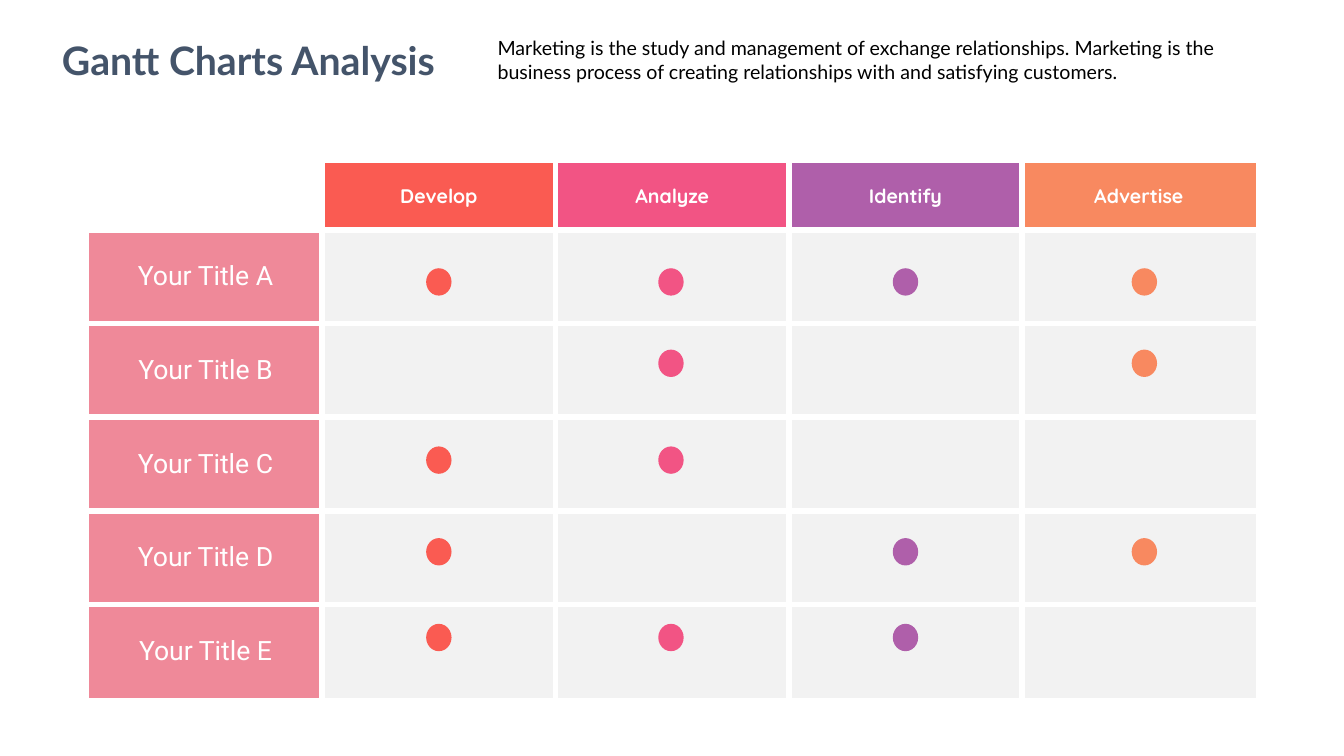
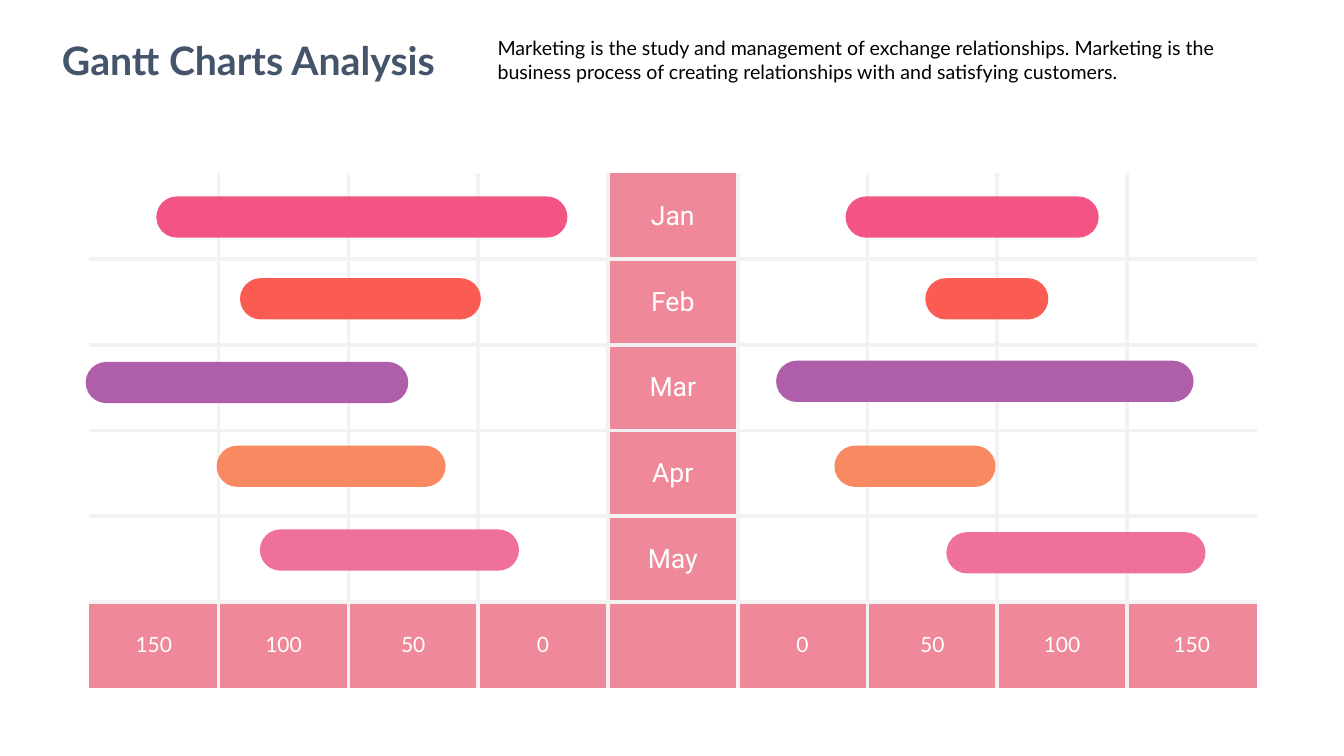
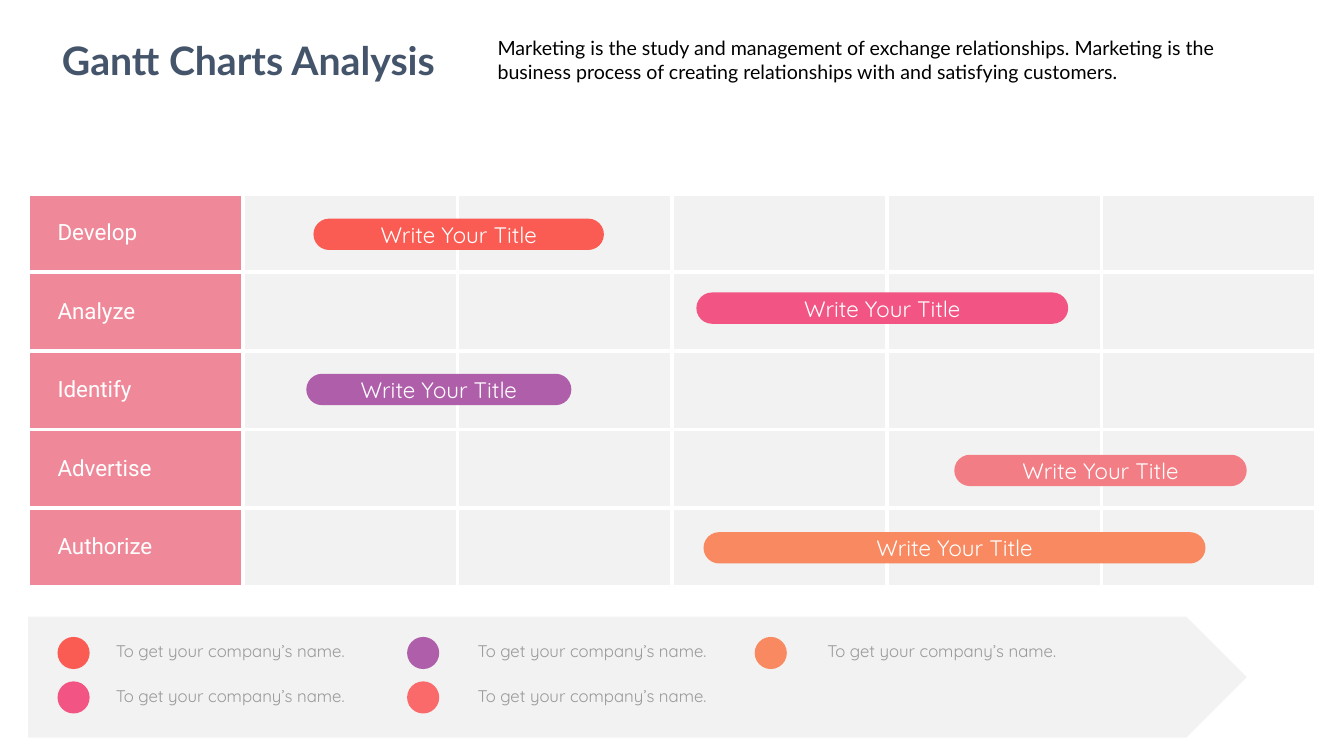
from lxml.etree import SubElement
from pptx import Presentation
from pptx.dml.color import RGBColor
from pptx.enum.shapes import MSO_SHAPE
from pptx.enum.text import MSO_ANCHOR, PP_ALIGN
from pptx.oxml.ns import qn
from pptx.util import Cm, Pt

WHITE = RGBColor(0xFF, 0xFF, 0xFF)
BLACK = RGBColor(0x00, 0x00, 0x00)
SLATE = RGBColor(0x44, 0x54, 0x6A)
GREY = RGBColor(0x99, 0x99, 0x99)
PALE = RGBColor(0xF2, 0xF2, 0xF2)
ROSE = RGBColor(0xEF, 0x89, 0x99)
RED = RGBColor(0xFA, 0x5B, 0x52)
PINK = RGBColor(0xF2, 0x54, 0x84)
PURPLE = RGBColor(0xAF, 0x5F, 0xAA)
ORANGE = RGBColor(0xF8, 0x89, 0x60)
ORCHID = RGBColor(0xEF, 0x70, 0x9D)
SALMON = RGBColor(0xF2, 0x7D, 0x84)
CORAL = RGBColor(0xFA, 0x6A, 0x6A)


def write(frame, text, font, size, color=WHITE, bold=False, align=PP_ALIGN.CENTER):
    frame.text = text
    para = frame.paragraphs[0]
    para.alignment = align
    span = para.runs[0]
    span.font.name = font
    span.font.size = Pt(size)
    span.font.bold = bold
    span.font.color.rgb = color


def add_grid(page, left, top, column_width, heights, fills, margins, edge, thickness, framed):
    rows, columns = len(fills), len(fills[0])
    table = page.shapes.add_table(
        rows, columns, Cm(left), Cm(top), Cm(column_width * columns), Cm(sum(heights))
    ).table
    for column in table.columns:
        column.width = Cm(column_width)
    for r, height in enumerate(heights):
        table.rows[r].height = Cm(height)
        for c in range(columns):
            cell = table.cell(r, c)
            cell.fill.solid()
            cell.fill.fore_color.rgb = fills[r][c]
            cell.vertical_anchor = MSO_ANCHOR.MIDDLE
            cell.margin_left, cell.margin_right = Cm(margins[0]), Cm(margins[1])
            cell.margin_top = cell.margin_bottom = Cm(margins[2])
            properties = cell._tc.get_or_add_tcPr()
            inner = {"lnL": c > 0, "lnR": c < columns - 1, "lnT": r > 0, "lnB": r < rows - 1}
            for position, (side, inside) in enumerate(inner.items()):
                line = SubElement(properties, qn("a:" + side), w=str(Pt(thickness)))
                if inside or framed:
                    paint = SubElement(line, qn("a:solidFill"))
                    SubElement(paint, qn("a:srgbClr"), val=str(edge))
                else:
                    SubElement(line, qn("a:noFill"))
                properties.insert(position, line)
    return table


deck = Presentation()
deck.slide_width = Cm(33.87)
deck.slide_height = Cm(19.05)
pages = [deck.slides.add_slide(deck.slide_layouts[6]) for _ in range(3)]
matrix_page, months_page, stages_page = pages
figures = []

for page in pages:
    title = page.shapes.add_textbox(Cm(0.99), Cm(0.79), Cm(10.54), Cm(1.45)).text_frame
    title.word_wrap = False
    write(title, "Gantt Charts Analysis", "Lato", 28, SLATE, True)
    summary = page.shapes.add_textbox(Cm(12.29), Cm(0.79), Cm(19.86), Cm(1.45)).text_frame
    summary.word_wrap = True
    write(
        summary,
        "Marketing is the study and management of exchange relationships. Marketing is the "
        "business process of creating relationships with and satisfying customers.",
        "Lato", 14, BLACK, align=PP_ALIGN.LEFT,
    )

phases = [
    ("Develop", RED, 10.74),
    ("Analyze", PINK, 16.59),
    ("Identify", PURPLE, 22.5),
    ("Advertise", ORANGE, 28.52),
]
tasks = [
    ("Your Title A", 6.76, (0, 1, 2, 3)),
    ("Your Title B", 8.81, (1, 3)),
    ("Your Title C", 11.25, (0, 1)),
    ("Your Title D", 13.56, (0, 2, 3)),
    ("Your Title E", 15.72, (0, 1, 2)),
]
fills = [[WHITE] + [color for _, color, _ in phases]] + [[ROSE] + [PALE] * 4 for _ in tasks]
matrix = add_grid(matrix_page, 2.24, 4.11, 5.88, [1.68] + [2.36] * 5, fills,
                  (0.13, 0.13, 0.07), WHITE, 4.5, False)
for c, (name, _, _) in enumerate(phases, 1):
    write(matrix.cell(0, c).text_frame, name, "Quicksand", 14, bold=True)
for r, (name, top, active) in enumerate(tasks, 1):
    write(matrix.cell(r, 0).text_frame, name, "Roboto", 19)
    for index in active:
        _, color, left = phases[index]
        figures.append((matrix_page, MSO_SHAPE.OVAL, left, top, 0.64, 0.69, color, ""))

months = [
    ("Jan", PINK, (3.94, 4.95, 10.36), (21.31, 4.95, 6.38)),
    ("Feb", RED, (6.05, 7.01, 6.07), (23.32, 7.01, 3.1)),
    ("Mar", PURPLE, (2.16, 9.12, 8.13), (19.56, 9.09, 10.52)),
    ("Apr", ORANGE, (5.46, 11.23, 5.77), (21.03, 11.23, 4.06)),
    ("May", ORCHID, (6.55, 13.34, 6.53), (23.85, 13.41, 6.53)),
]
fills = [[WHITE] * 4 + [ROSE] + [WHITE] * 4 for _ in months] + [[ROSE] * 9]
calendar = add_grid(months_page, 2.24, 4.37, 3.27, [2.16] * 6, fills,
                    (0.13, 0.13, 0.07), PALE, 3, False)
for r, (name, color, *bars) in enumerate(months):
    write(calendar.cell(r, 4).text_frame, name, "Roboto", 19)
    for left, top, width in bars:
        figures.append(
            (months_page, MSO_SHAPE.ROUNDED_RECTANGLE, left, top, width, 1.04, color, ""))
for step, value in enumerate(("0", "50", "100", "150"), 1):
    for c in (4 - step, 4 + step):
        write(calendar.cell(5, c).text_frame, value, "Lato", 15)

stages = [
    ("Develop", RED, 7.9, 5.51, 7.32),
    ("Analyze", PINK, 17.55, 7.37, 9.37),
    ("Identify", PURPLE, 7.72, 9.42, 6.68),
    ("Advertise", SALMON, 24.05, 11.46, 7.37),
    ("Authorize", ORANGE, 17.73, 13.41, 12.65),
]
fills = [[ROSE] + [PALE] * 5 for _ in stages]
schedule = add_grid(stages_page, 0.71, 4.88, 5.41, [1.98] * 5, fills,
                    (0.74, 0.15, 0.1), WHITE, 3, True)
figures.append((stages_page, MSO_SHAPE.PENTAGON, 0.71, 15.54, 30.71, 3.05, PALE, ""))
for r, (name, color, left, top, width) in enumerate(stages):
    write(schedule.cell(r, 0).text_frame, name, "Roboto", 16, align=PP_ALIGN.LEFT)
    figures.append((stages_page, MSO_SHAPE.ROUNDED_RECTANGLE, left, top, width, 0.79, color,
                    "Write Your Title"))
legend = [(1.45, 2.31, (RED, PINK)), (10.26, 11.43, (PURPLE, CORAL)), (19.02, 20.24, (ORANGE,))]
for dot_left, note_left, colors in legend:
    for row, color in enumerate(colors):
        top = 16.05 + row * 1.12
        figures.append((stages_page, MSO_SHAPE.OVAL, dot_left, top, 0.81, 0.81, color, ""))

for page, preset, left, top, width, height, color, label in figures:
    shape = page.shapes.add_shape(preset, Cm(left), Cm(top), Cm(width), Cm(height))
    shape.shadow.inherit = False
    shape.fill.solid()
    shape.fill.fore_color.rgb = color
    shape.line.fill.background()
    if preset == MSO_SHAPE.ROUNDED_RECTANGLE:
        shape.adjustments[0] = 0.5
    if label:
        shape.text_frame.vertical_anchor = MSO_ANCHOR.MIDDLE
        write(shape.text_frame, label, "Quicksand", 16)

for _, note_left, colors in legend:
    for row in range(len(colors)):
        box = stages_page.shapes.add_textbox(
            Cm(note_left), Cm(15.9 + row * 1.12), Cm(7.8), Cm(1.12))
        note = box.text_frame
        note.word_wrap = True
        note.margin_left = note.margin_right = Cm(0.61)
        note.margin_top = note.margin_bottom = Cm(0.3)
        write(note, "To get your company’s name.", "Quicksand", 12, GREY, align=PP_ALIGN.LEFT)

deck.save("out.pptx")
